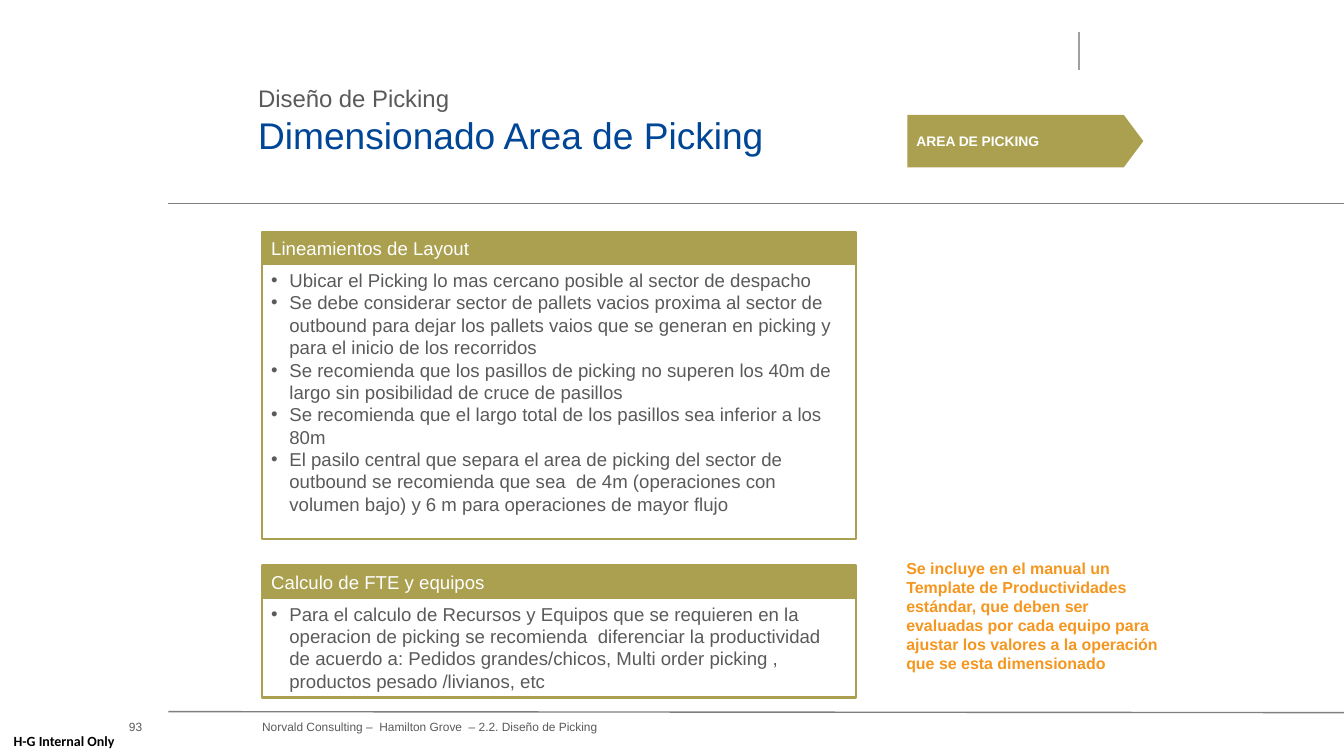
from dataclasses import dataclass
from lxml.etree import SubElement
from pptx import Presentation
from pptx.dml.color import RGBColor
from pptx.enum.shapes import MSO_CONNECTOR, MSO_SHAPE
from pptx.enum.text import MSO_ANCHOR, PP_ALIGN
from pptx.oxml.ns import qn
from pptx.util import Inches, Pt


@dataclass(frozen=True)
class Theme:
    font: str = "Arial"
    label: str = "Calibri"
    grey: str = "5A5A5A"
    blue: str = "004696"
    olive: str = "AAA050"
    orange: str = "F5961E"
    white: str = "FFFFFF"
    black: str = "000000"
    rule: str = "7F7F7F"
    tick: str = "A0A0A0"
    title: float = 26.5
    kicker: float = 17.1
    body: float = 13.3
    note: float = 11.4
    mark: float = 10
    tag: float = 9.9
    small: float = 8.5


def color(code):
    return RGBColor.from_string(code)


def write(para, text, size, fill, font=Theme.font, bold=False,
          align=PP_ALIGN.LEFT, space=None, bullet=None):
    if bullet:
        props = para._p.get_or_add_pPr()
        props.set("marL", str(Inches(0.18)))
        props.set("indent", str(Inches(-0.18)))
        tint = SubElement(props, qn("a:buClr"))
        SubElement(tint, qn("a:srgbClr"), val=fill)
        SubElement(props, qn("a:buFont"), typeface=font)
        SubElement(props, qn("a:buChar"), char=bullet)
    para.alignment = align
    if space:
        para.line_spacing = space
    run = para.add_run()
    run.text = text
    run.font.name = font
    run.font.size = Pt(size)
    run.font.bold = bold
    run.font.color.rgb = color(fill)


class Page:
    def __init__(self, deck, theme):
        self.theme = theme
        self.slide = deck.slides.add_slide(deck.slide_layouts[5])

    def frame(self, shape, pad=(0, 0), anchor=MSO_ANCHOR.TOP, wrap=True):
        frame = shape.text_frame
        frame.margin_left = frame.margin_right = Inches(pad[0])
        frame.margin_top = frame.margin_bottom = Inches(pad[1])
        frame.vertical_anchor = anchor
        frame.word_wrap = wrap
        return frame

    def title(self, kicker, text, box):
        shape = self.slide.shapes.title
        shape.left, shape.top, shape.width, shape.height = map(Inches, box)
        frame = self.frame(shape)
        write(frame.paragraphs[0], kicker, self.theme.kicker, self.theme.grey)
        write(frame.add_paragraph(), text, self.theme.title, self.theme.blue)

    def text(self, text, box, size, fill, pad=(0, 0), anchor=MSO_ANCHOR.TOP,
             wrap=True, **style):
        shape = self.slide.shapes.add_textbox(*map(Inches, box))
        frame = self.frame(shape, pad, anchor, wrap)
        write(frame.paragraphs[0], text, size, fill, **style)

    def line(self, start, end, fill):
        ends = map(Inches, start + end)
        line = self.slide.shapes.add_connector(MSO_CONNECTOR.STRAIGHT, *ends)
        line.line.color.rgb = color(fill)
        line.line.width = Pt(1)
        SubElement(line._element.spPr, qn("a:effectLst"))

    def block(self, shapes, kind, box, fill, edge=None):
        shape = shapes.add_shape(kind, *map(Inches, box))
        shape.shadow.inherit = False
        shape.fill.solid()
        shape.fill.fore_color.rgb = color(fill)
        if edge:
            shape.line.color.rgb = color(edge)
            shape.line.width = Pt(1.5)
        else:
            shape.line.fill.background()
        return shape

    def tag(self, text, box):
        theme = self.theme
        shape = self.block(self.slide.shapes, MSO_SHAPE.PENTAGON, box, theme.olive)
        shape.adjustments[0] = 0.373
        frame = self.frame(shape, (0.09, 0.05), MSO_ANCHOR.MIDDLE)
        write(frame.paragraphs[0], text, theme.tag, theme.white, bold=True)

    def panel(self, head, items, top, height):
        theme = self.theme
        left, width, bar = 2.6, 5.89, 0.32
        shapes = self.slide.shapes.add_group_shape().shapes
        body = self.block(shapes, MSO_SHAPE.RECTANGLE,
                          (left, top + bar, width, height - bar),
                          theme.white, theme.olive)
        frame = self.frame(body, (0.09, 0.05))
        for index, item in enumerate(items):
            para = frame.add_paragraph() if index else frame.paragraphs[0]
            write(para, item, theme.body, theme.grey, bullet="•")
        cap = self.block(shapes, MSO_SHAPE.RECTANGLE, (left, top, width, bar),
                         theme.olive, theme.olive)
        frame = self.frame(cap, (0.09, 0.05))
        write(frame.paragraphs[0], head, theme.body, theme.white)


def main():
    deck = Presentation()
    deck.slide_width, deck.slide_height = Inches(13.33), Inches(7.5)
    theme = Theme()
    page = Page(deck, theme)

    page.text("93", (0.28, 7.14, 1.13, 0.12), theme.small, theme.grey,
              anchor=MSO_ANCHOR.MIDDLE, align=PP_ALIGN.RIGHT, space=1.2)
    page.line((1.67, 2.02), (13.33, 2.02), theme.rule)
    page.line((1.67, 7.06), (13.33, 7.07), theme.rule)
    page.line((10.7, 0.32), (10.7, 0.69), theme.tick)
    page.text("H-G Internal Only", (0, 7.21, 1.27, 0.29), theme.mark, theme.black,
              anchor=MSO_ANCHOR.MIDDLE, font=theme.label, bold=True,
              align=PP_ALIGN.CENTER)

    page.title("Diseño de Picking", "Dimensionado Area de Picking",
               (2.56, 0.83, 9.89, 0.9))
    page.tag("AREA DE PICKING", (9, 1.14, 2.34, 0.52))
    page.panel("Lineamientos de Layout", [
        "Ubicar el Picking lo mas cercano posible al sector de despacho",
        "Se debe considerar sector de pallets vacios proxima al sector de outbound "
        "para dejar los pallets vaios que se generan en picking y para el inicio "
        "de los recorridos",
        "Se recomienda que los pasillos de picking no superen los 40m de largo sin "
        "posibilidad de cruce de pasillos",
        "Se recomienda que el largo total de los pasillos sea inferior a los 80m",
        "El pasilo central que separa el area de picking del sector de outbound se "
        "recomienda que sea  de 4m (operaciones con volumen bajo) y 6 m para "
        "operaciones de mayor flujo",
    ], 2.3, 3.05)
    page.panel("Calculo de FTE y equipos", [
        "Para el calculo de Recursos y Equipos que se requieren en la operacion de "
        "picking se recomienda  diferenciar la productividad de acuerdo a: Pedidos "
        "grandes/chicos, Multi order picking , productos pesado /livianos, etc",
    ], 5.61, 1.31)
    page.text("Se incluye en el manual un Template de Productividades estándar, que "
              "deben ser evaluadas por cada equipo para ajustar los valores a la "
              "operación que se esta dimensionado", (8.89, 5.49, 2.78, 1.25),
              theme.note, theme.orange, pad=(0.1, 0.05), bold=True)
    page.text("Norvald Consulting –  Hamilton Grove  – 2.2. Diseño de Picking",
              (2.6, 7.14, 7.57, 0.13), theme.small, theme.grey, wrap=False)
    deck.save("out.pptx")


if __name__ == "__main__":
    main()
